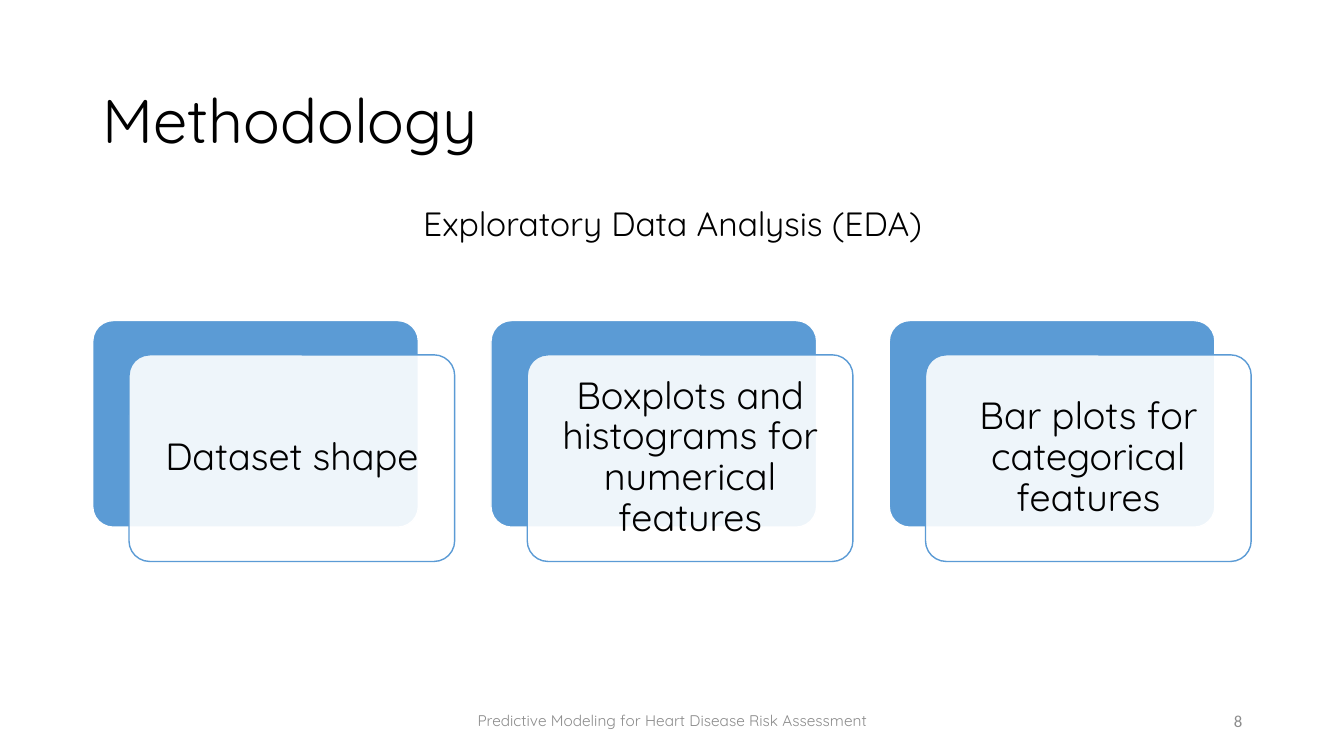
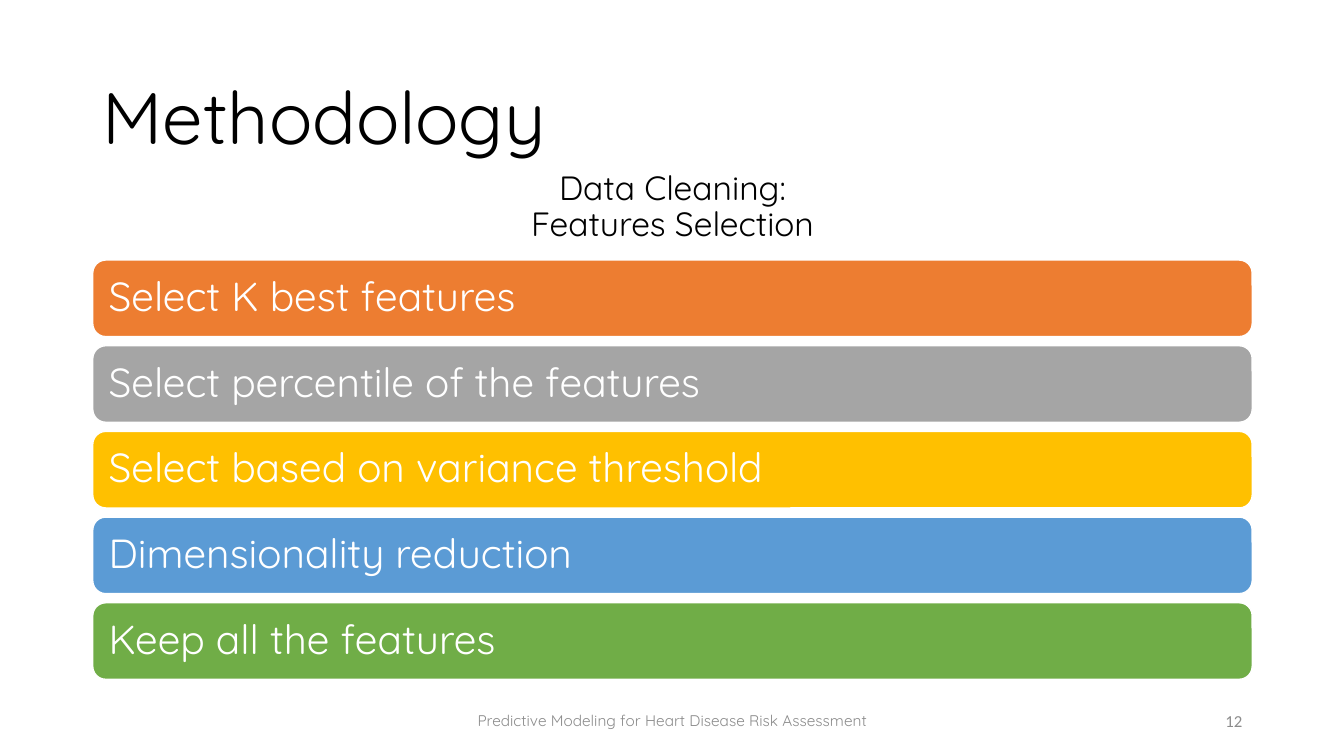
from lxml import etree
from pptx import Presentation, util as u
from pptx.dml import color
from pptx.enum import shapes, text
from pptx.oxml import ns

BLUE, WHITE, BLACK, GREY = "5B9BD5", "FFFFFF", "000000", "8C8C8C"
LEFT, WIDE = 0.92, 11.5
FOOT = "Predictive Modeling for Heart Disease Risk Assessment"
ALIGN = text.PP_ALIGN


def rgb(code):
    return color.RGBColor.from_string(code)


def apply(item, values):
    for name, value in values.items():
        setattr(item, name, value)


class Deck:
    face = "Quicksand"

    def __init__(self):
        self.file = Presentation()
        apply(self.file, {"slide_width": u.Inches(13.33),
                          "slide_height": u.Inches(7.5)})

    def page(self, title, size, top, number):
        self.slide = self.file.slides.add_slide(self.file.slide_layouts[6])
        self.label((LEFT, top, WIDE, 1.24), title, size)
        self.label((4.42, 6.95, 4.5, 0.4), FOOT, 11, GREY, ALIGN.CENTER, space=1)
        self.label((9.42, 6.95, 3, 0.4), number, 12, GREY, ALIGN.RIGHT,
                   face="Calibri", space=1)

    def put(self, shape, words, size, ink, align, face=None, space=0.9, pad=None):
        frame = shape.text_frame
        frame.text = words
        apply(frame, {"word_wrap": True, "vertical_anchor": text.MSO_ANCHOR.MIDDLE})
        if pad:
            sides = ("left", "top", "right", "bottom")
            apply(frame, {f"margin_{side}": u.Inches(pad) for side in sides})
        for para in frame.paragraphs:
            apply(para, {"alignment": align, "line_spacing": space})
            for run in para.runs:
                apply(run.font, {"name": face or self.face, "size": u.Pt(size)})
                run.font.color.rgb = rgb(ink)

    def label(self, box, words, size, ink=BLACK, align=ALIGN.LEFT, **style):
        shape = self.slide.shapes.add_textbox(*map(u.Inches, box))
        self.put(shape, words, size, ink, align, **style)

    def card(self, box, fill, line=WHITE, curve=0.1, alpha=None):
        kind = shapes.MSO_SHAPE.ROUNDED_RECTANGLE
        shape = self.slide.shapes.add_shape(kind, *map(u.Inches, box))
        shape.shadow.inherit = False
        shape.adjustments[0] = curve
        shape.fill.solid()
        shape.fill.fore_color.rgb = rgb(fill)
        shape.line.color.rgb = rgb(line)
        shape.line.width = u.Pt(1)
        if alpha:
            tone = shape.element.spPr.find(".//" + ns.qn("a:srgbClr"))
            etree.SubElement(tone, ns.qn("a:alpha"), val=str(alpha * 1000))
        return shape

    def stack(self, left, top, words):
        size = (3.23, 2.05)
        self.card((left, top, *size), BLUE)
        front = self.card((left + 0.36, top + 0.34, *size), WHITE, BLUE, alpha=90)
        self.put(front, words, 27, BLACK, ALIGN.CENTER, pad=0.11)

    def bar(self, top, words, fill):
        shape = self.card((LEFT, top, WIDE, 0.76), fill, curve=0.17)
        self.put(shape, words, 29, WHITE, ALIGN.LEFT, pad=0.12)


def main():
    deck = Deck()

    deck.page("Methodology", 44, 0.61, "8")
    plots = ("Dataset shape", "Boxplots and histograms for numerical features",
             "Bar plots for categorical features")
    for col, words in enumerate(plots):
        deck.stack(LEFT + col * 3.95, 3.18, words)
    deck.label((LEFT, 1.62, WIDE, 1.24), "Exploratory Data Analysis (EDA)", 24,
               align=ALIGN.CENTER)

    deck.page("Methodology", 52, 0.58, "12")
    steps = (("Select K best features", "ED7D31"),
             ("Select percentile of the features", "A5A5A5"),
             ("Select based on variance threshold", "FFC000"),
             ("Dimensionality reduction", BLUE),
             ("Keep all the features", "70AD47"))
    for row, (words, fill) in enumerate(steps):
        deck.bar(2.58 + row * 0.85, words, fill)
    deck.label((LEFT, 1.44, WIDE, 1.24), "Data Cleaning:\nFeatures Selection", 24,
               align=ALIGN.CENTER)

    deck.file.save("out.pptx")


if __name__ == "__main__":
    main()
